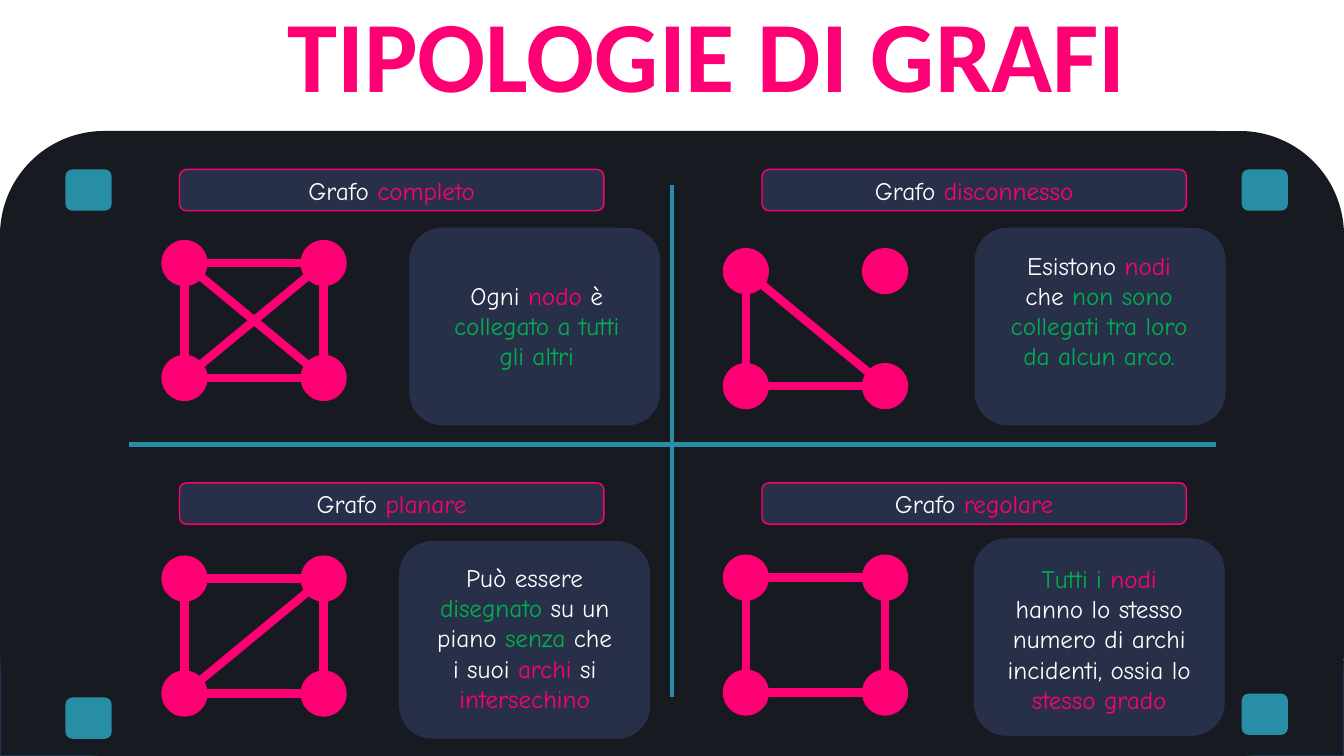
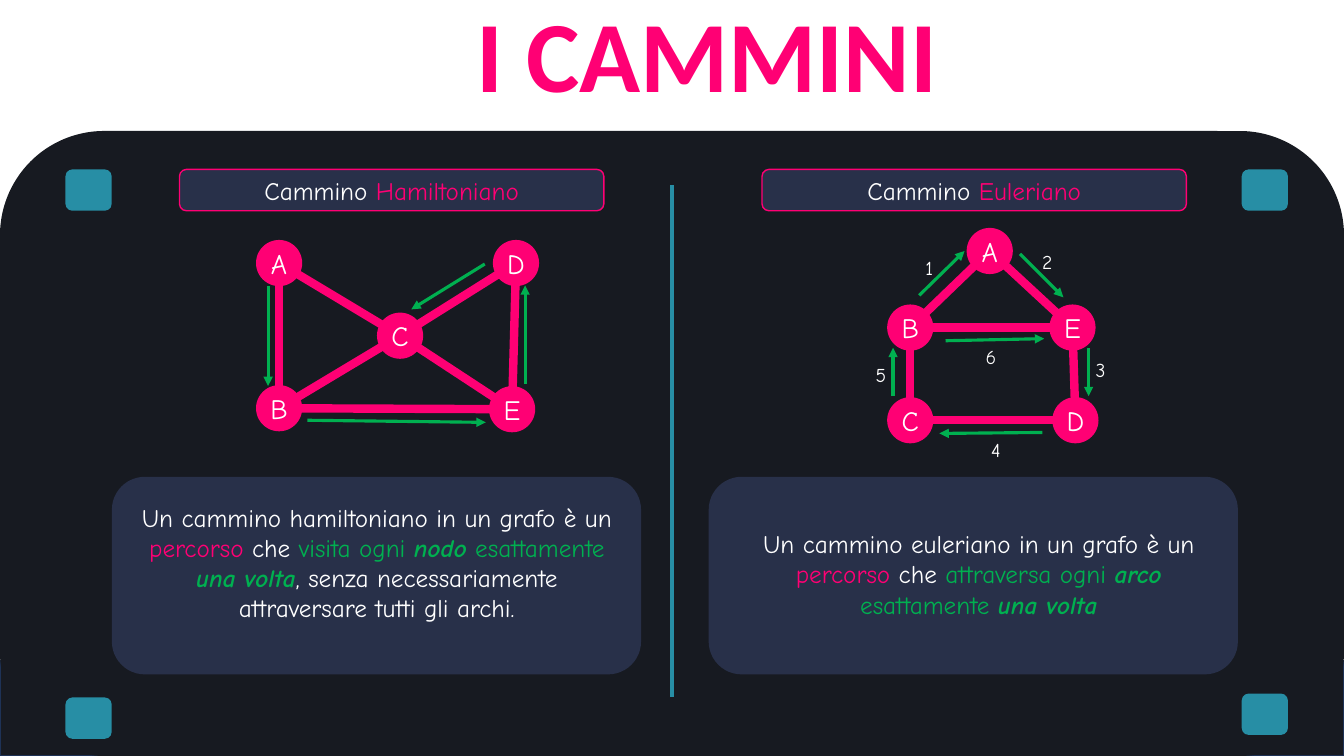
"""Build two slides on graph types and graph paths."""
from lxml import etree
from pptx import Presentation
from pptx.dml.color import RGBColor
from pptx.enum import shapes, text
from pptx.oxml.ns import qn
from pptx.util import Pt

COLORS = {"dark": "171A21", "edge": "1E3256", "teal": "278EA5", "card": "283049",
          "pink": "FF0074", "green": "00B050", "white": "FFFFFF"}
RGB = {name: RGBColor.from_string(value) for name, value in COLORS.items()}
FONT = "Comic Neue"
NODE = 33
CARD_H = 141.1
COLS = (128.2, 544.3)
ROWS = (121, 344.9)
RECT = shapes.MSO_SHAPE.RECTANGLE
ROUND = shapes.MSO_SHAPE.ROUNDED_RECTANGLE
OVAL = shapes.MSO_SHAPE.OVAL


def add_sp(s, kind, x, y, w, h, fill, line=None, runs=(), size=18, margins=(0, 0, 0), top=False):
    """Add a filled shape with coloured runs; margins are left, right and top."""
    sp = s.shapes.add_shape(kind, Pt(x), Pt(y), Pt(w), Pt(h))
    sp.shadow.inherit = False
    sp.fill.solid()
    sp.fill.fore_color.rgb = RGB[fill]
    if line:
        sp.line.color.rgb = RGB[line]
        sp.line.width = Pt(1)
    else:
        sp.line.fill.background()
    tf = sp.text_frame
    tf.margin_left, tf.margin_right, tf.margin_top = map(Pt, margins)
    tf.margin_bottom = 0
    tf.vertical_anchor = text.MSO_ANCHOR.TOP if top else text.MSO_ANCHOR.MIDDLE
    p = tf.paragraphs[0]
    p.alignment = text.PP_ALIGN.CENTER
    for color, words, *emphasis in runs:
        r = p.add_run()
        r.text = words
        r.font.name, r.font.size = FONT, Pt(size)
        r.font.color.rgb = RGB[color]
        if emphasis:
            r.font.bold = r.font.italic = True


def add_ln(s, x1, y1, x2, y2, color, width, arrow=False):
    """Add a straight line, with an arrowhead at its end if wanted."""
    ln = s.shapes.add_connector(shapes.MSO_CONNECTOR.STRAIGHT, Pt(x1), Pt(y1), Pt(x2), Pt(y2))
    ln.line.color.rgb = RGB[color]
    ln.line.width = Pt(width)
    if arrow:
        etree.SubElement(ln.line._get_or_add_ln(), qn("a:tailEnd"), type="triangle")
    etree.SubElement(ln._element.spPr, qn("a:effectLst"))


squares = [(131.8, 187.9, "AB AC AD BC BD CD"), (532.8, 193.7, "AC AD CD"),
           (131.8, 413.3, "AB AC BC BD CD"), (532.8, 412.6, "AB AC BD CD")]
square_graphs = [({"A": (x, y), "B": (x + 99.4, y), "C": (x, y + 82.1), "D": (x + 99.4, y + 82.1)}, edges)
                 for x, y, edges in squares]

path_graphs = [
    ({"A": (199.4, 187.9), "B": (199.4, 291.6), "C": (285.8, 239.8), "D": (368.6, 187.9),
      "E": (365.8, 292.3)}, "AB AC BC BE CD CE DE"),
    ({"A": (707, 179.3), "B": (650.2, 234), "C": (650.2, 300.2), "D": (768.2, 300.2),
      "E": (766.1, 234)}, "AB AE BE BC CD DE"),
]

slides = [
    {"title": "TIPOLOGIE DI GRAFI", "subject": "Grafo ",
     "headers": ["completo", "disconnesso", "planare", "regolare"],
     "dividers": [(480.2, 132.5, 480.2, 498.2), (92.2, 317.5, 868.3, 317.5)],
     "graphs": square_graphs, "lettered": False, "arrows": [], "numbers": [],
     "cards": [
         (292.3, 162.7, 179.3, (17.3, 14.4, 30.5),
          [("white", "Ogni "), ("pink", "nodo"), ("white", " è "),
           ("green", "collegato a tutti gli altri")]),
         (696.2, 162.7, 179.3, (15, 16.5, 9),
          [("white", "Esistono "), ("pink", "nodi"), ("white", " che "),
           ("green", "non sono collegati tra loro da alcun arco.")]),
         (285.1, 386.6, 179.3, (16, 16, 8.2),
          [("white", "Può essere "), ("green", "disegnato"), ("white", " su un piano "),
           ("green", "senza"), ("white", " che i suoi "), ("pink", "archi"),
           ("white", " si "), ("pink", "intersechino")]),
         (695.5, 384.5, 179.3, (16, 16, 11),
          [("green", "Tutti i "), ("pink", "nodi"),
           ("white", " hanno lo stesso numero di archi incidenti, ossia lo "),
           ("pink", "stesso grado")]),
     ]},
    {"title": "I CAMMINI", "subject": "Cammino ",
     "headers": ["Hamiltoniano", "Euleriano"],
     "dividers": [(480.2, 132.5, 480.2, 498.2)],
     "graphs": path_graphs, "lettered": True,
     "arrows": [(191.5, 204.5, 191.5, 275.8), (219.6, 300.2, 347, 301.7),
                (375.1, 274.3, 375.1, 203.8), (346.3, 188.6, 293.8, 221),
                (656.6, 211, 689, 179.3), (728.6, 181.4, 759.6, 212.4),
                (777.6, 248.4, 777.6, 283), (744.5, 308.9, 671, 309.6),
                (637.9, 283, 637.9, 248.4), (675.4, 243.4, 745.9, 241.9)],
     "numbers": [(663.8, 191.5), (748.1, 187.2), (786.2, 264.2),
                 (711.4, 321.1), (629.3, 267.8), (707.8, 254.9)],
     "cards": [
         (79.9, 340.6, 378, (8.5, 8, 11),
          [("white", "Un cammino hamiltoniano in un grafo è un "), ("pink", "percorso"),
           ("white", " che "), ("green", "visita ogni "), ("green", "nodo", True),
           ("green", " esattamente "), ("green", "una volta", True),
           ("white", ", senza necessariamente attraversare tutti gli archi.")]),
         (506.2, 340.6, 378, (12.2, 4.3, 30),
          [("white", "Un cammino euleriano in un grafo è un "), ("pink", "percorso"),
           ("white", " che "), ("green", "attraversa ogni "), ("green", "arco", True),
           ("green", " esattamente "), ("green", "una volta", True)]),
     ]},
]

prs = Presentation()
prs.slide_width, prs.slide_height = Pt(960), Pt(540)

for content in slides:
    s = prs.slides.add_slide(prs.slide_layouts[5])
    title = s.shapes.title
    title.left, title.top, title.width, title.height = Pt(64), Pt(-10), Pt(882), Pt(94.3)
    tf = title.text_frame
    tf.text = content["title"]
    tf.auto_size = text.MSO_AUTO_SIZE.NONE
    tf.vertical_anchor = text.MSO_ANCHOR.MIDDLE
    p = tf.paragraphs[0]
    p.alignment = text.PP_ALIGN.CENTER
    font = p.runs[0].font
    font.name, font.size, font.bold = "Calibri", Pt(72), True
    font.color.rgb = RGB["pink"]

    add_sp(s, RECT, 0, 471.6, 960, 68.4, "dark", "edge")
    add_sp(s, ROUND, 0, 93.6, 960, 446.4, "dark")
    for x, y in [(46.8, 121), (887, 121), (46.8, 498.2), (887, 495.4)]:
        add_sp(s, ROUND, x, y, 33, 29.5, "teal")
    for divider in content["dividers"]:
        add_ln(s, *divider, "teal", 3)

    for i, name in enumerate(content["headers"]):
        add_sp(s, ROUND, COLS[i % 2], ROWS[i // 2], 303.1, 29.5, "card", "pink",
               [("white", content["subject"]), ("pink", name)])
    for x, y, w, margins, runs in content["cards"]:
        add_sp(s, ROUND, x, y, w, CARD_H, "card", None, runs, margins=margins, top=True)

    for nodes, edges in content["graphs"]:
        for start, end in edges.split():
            add_ln(s, *nodes[start], *nodes[end], "pink", 6)
        for letter, (x, y) in nodes.items():
            runs = [("white", letter)] if content["lettered"] else []
            add_sp(s, OVAL, x - NODE / 2, y - NODE / 2, NODE, NODE, "pink", None, runs, 20)

    for arrow in content["arrows"]:
        add_ln(s, *arrow, "green", 2.25, True)
    for number, (x, y) in enumerate(content["numbers"], 1):
        tb = s.shapes.add_textbox(Pt(x - 9.5), Pt(y - 12), Pt(19), Pt(24))
        tf = tb.text_frame
        tf.word_wrap = True
        tf.margin_left = tf.margin_right = tf.margin_top = tf.margin_bottom = 0
        tf.vertical_anchor = text.MSO_ANCHOR.MIDDLE
        tf.text = str(number)
        p = tf.paragraphs[0]
        p.alignment = text.PP_ALIGN.CENTER
        font = p.runs[0].font
        font.name, font.size = FONT, Pt(14)
        font.color.rgb = RGB["white"]

prs.save("out.pptx")
